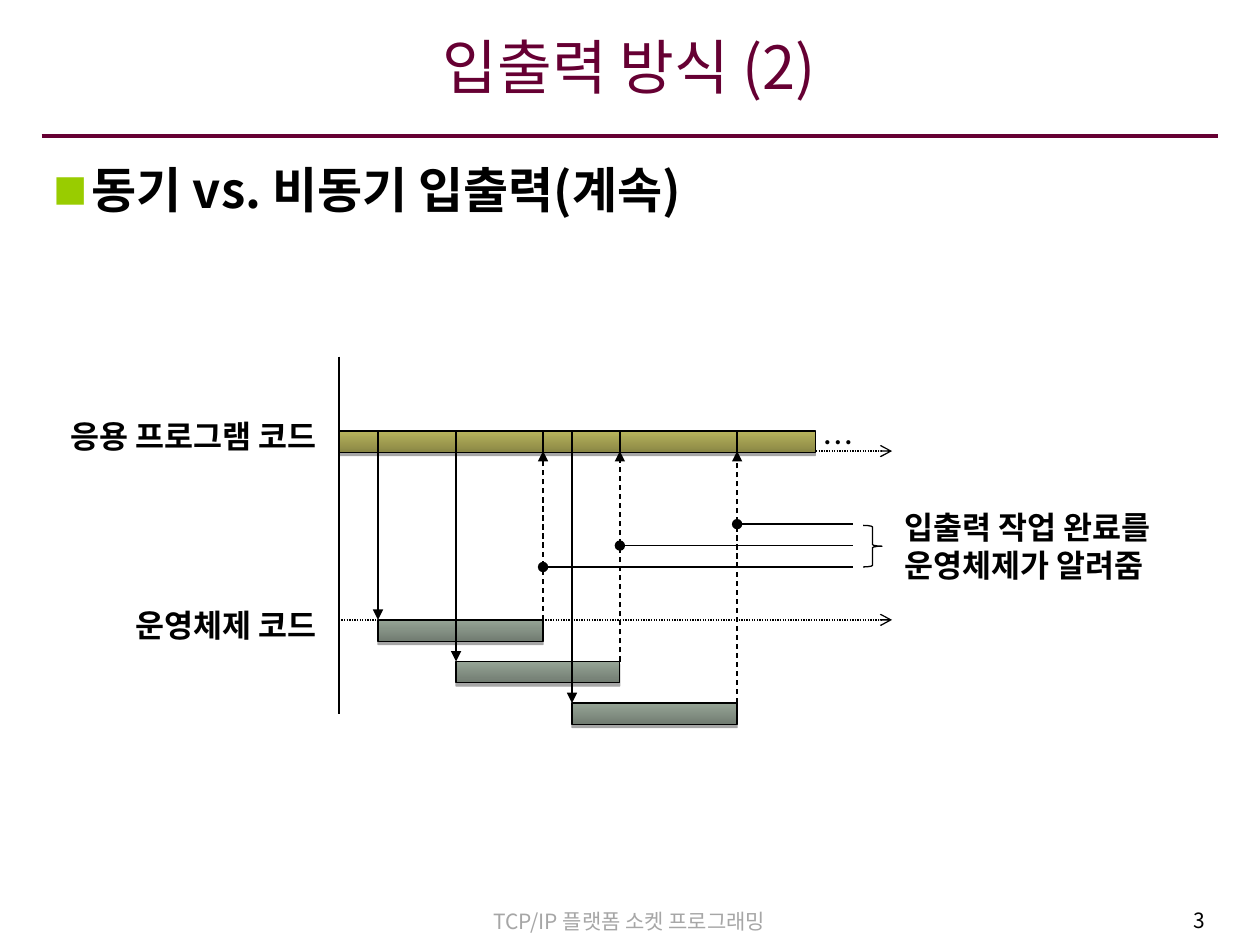
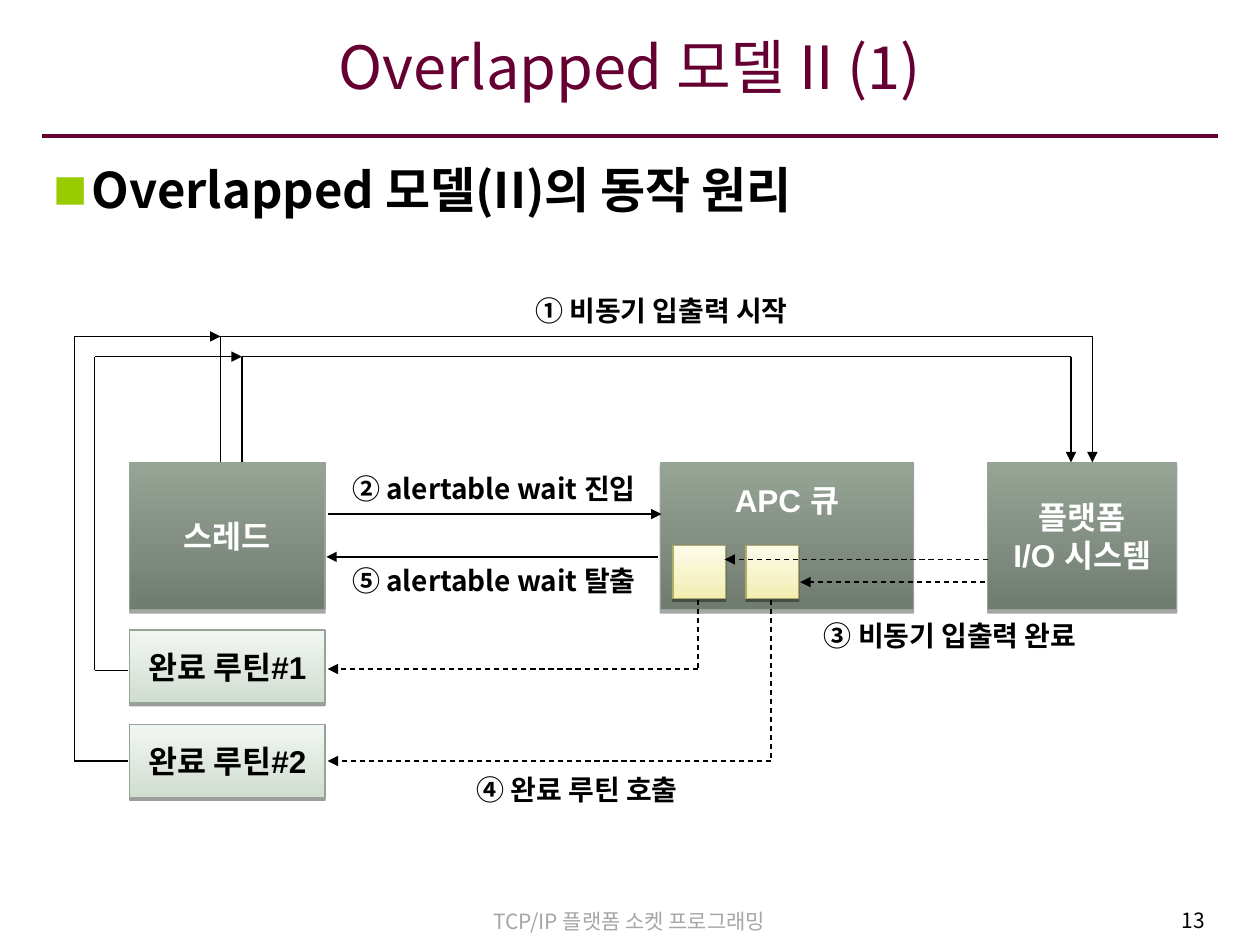
"""Builds two slides on input/output modes and the overlapped model."""
from dataclasses import dataclass
from itertools import pairwise

from lxml import etree
from pptx import Presentation
from pptx.dml.color import RGBColor
from pptx.enum.dml import MSO_LINE
from pptx.enum.shapes import MSO_CONNECTOR, MSO_SHAPE
from pptx.enum.text import MSO_ANCHOR, PP_ALIGN
from pptx.oxml.ns import qn
from pptx.util import Emu, Pt

PX = 9144
LEFT, MID, RIGHT = PP_ALIGN.LEFT, PP_ALIGN.CENTER, PP_ALIGN.RIGHT
TOP, CENTER = MSO_ANCHOR.TOP, MSO_ANCHOR.MIDDLE
DASH, DOT = MSO_LINE.DASH, MSO_LINE.ROUND_DOT
RECT, BRACE = MSO_SHAPE.RECTANGLE, MSO_SHAPE.RIGHT_BRACE
STRAIGHT = MSO_CONNECTOR.STRAIGHT

PLUM, BLACK, WHITE, GREY, LIME = "660033", "000000", "FFFFFF", "A6A6A6", "99CC00"
OLIVE = ("8A8745", "B8B45C")
SAGE = ("717C71", "96A496")
MIST = ("D1DDD1", "F2F6F2")
CREAM = ("F2EEB2", "FCFBEA")
EDGE, RIM = "98A398", "AFAC67"
KOREAN, ARIAL, TIMES = "Noto Sans CJK KR", "Arial", "Times New Roman"


@dataclass(frozen=True)
class Look:
    size: int
    color: str = BLACK
    bold: bool = False
    face: str = KOREAN
    align: int = MID


TITLE = Look(34, PLUM)
HEAD = Look(28, bold=True, align=LEFT)
FOOT = Look(12, GREY)
PAGE = Look(12, align=RIGHT)
NAME = Look(18, bold=True, align=RIGHT)
NOTE = Look(18, bold=True, align=LEFT)
STEP = Look(16, bold=True)
DOTS = Look(10, face=TIMES)
PALE = Look(18, WHITE, True, ARIAL)
DARK = Look(18, BLACK, True, ARIAL)


@dataclass(frozen=True)
class Label:
    spot: tuple[int, int, int, int]
    text: str
    look: Look
    wrap: bool = False
    anchor: int = CENTER


@dataclass(frozen=True)
class Box:
    spot: tuple[int, int, int, int]
    fill: tuple[str, str]
    edge: str = BLACK
    text: str = ""
    look: Look = PALE
    low: int = 5
    shade: tuple[int, float] = (35, 1.8)


@dataclass(frozen=True)
class Wire:
    start: tuple[int, int]
    end: tuple[int, int]
    dash: int | None = None
    head: str = ""
    tail: str = ""
    color: str = BLACK
    width: float = 0.75


def rgb(code: str) -> RGBColor:
    return RGBColor.from_string(code)


def scale(spot) -> list[Emu]:
    return [Emu(n * PX) for n in spot]


def add(parent, tag: str, **attrs):
    return etree.SubElement(parent, qn(tag), {k: str(v) for k, v in attrs.items()})


def style(thing, values: dict) -> None:
    for key, value in values.items():
        setattr(thing, key, value)


def write(frame, text: str, look: Look, wrap=False, anchor=CENTER,
          side=10, low=5) -> None:
    frame.text = text
    style(frame, {"word_wrap": wrap, "vertical_anchor": anchor,
                  "margin_left": Emu(side * PX), "margin_right": Emu(side * PX),
                  "margin_top": Emu(5 * PX), "margin_bottom": Emu(low * PX)})
    for para in frame.paragraphs:
        para.alignment = look.align
        for run in para.runs:
            style(run.font, {"size": Pt(look.size), "bold": look.bold,
                             "name": look.face})
            run.font.color.rgb = rgb(look.color)
            add(run.font._element, "a:ea", typeface=KOREAN)


def put_label(slide, item: Label):
    box = slide.shapes.add_textbox(*scale(item.spot))
    write(box.text_frame, item.text, item.look, item.wrap, item.anchor)
    return box


def put_box(slide, item: Box) -> None:
    shape = slide.shapes.add_shape(RECT, *scale(item.spot))
    shape.fill.gradient()
    shape.fill.gradient_angle = 90
    for stop, code in zip(shape.fill.gradient_stops, item.fill):
        stop.color.rgb = rgb(code)
    shape.line.color.rgb = rgb(item.edge)
    shape.line.width = Pt(0.75)
    shape.shadow.inherit = False
    alpha, drop = item.shade
    effect = shape._element.spPr.find(qn("a:effectLst"))
    outer = add(effect, "a:outerShdw", blurRad=0, dist=Pt(drop), dir=5400000,
                algn="ctr", rotWithShape=0)
    add(add(outer, "a:srgbClr", val=BLACK), "a:alpha", val=alpha * 1000)
    if item.text:
        write(shape.text_frame, item.text, item.look, low=item.low)


def put_wire(slide, item: Wire) -> None:
    link = slide.shapes.add_connector(STRAIGHT, *scale(item.start + item.end))
    link.line.color.rgb = rgb(item.color)
    link.line.width = Pt(item.width)
    if item.dash:
        link.line.dash_style = item.dash
    pen = link.line._get_or_add_ln()
    for tag, kind in (("a:headEnd", item.head), ("a:tailEnd", item.tail)):
        if kind:
            add(pen, tag, type=kind)
    add(link._element.spPr, "a:effectLst")


PUT = {Label: put_label, Box: put_box, Wire: put_wire}


def draw(slide, items) -> None:
    for item in items:
        PUT[type(item)](slide, item)


def start(deck, title: str, head: str, page: int):
    slide = deck.slides.add_slide(deck.slide_layouts[5])
    slide.background.fill.solid()
    slide.background.fill.fore_color.rgb = rgb(WHITE)
    name = slide.shapes.title
    style(name, dict(zip(("left", "top", "width", "height"),
                         scale((33, 15, 933, 85)))))
    write(name.text_frame, title, TITLE, True, side=8, low=16)
    draw(slide, [
        Wire((33, 108), (967, 108), color=PLUM, width=2.25),
        Label((287, 716, 425, 30), "TCP/IP 플랫폼 소켓 프로그래밍", FOOT, True, TOP),
        Label((754, 715, 212, 33), str(page), PAGE, True, TOP),
    ])
    body = put_label(slide, Label((33, 122, 933, 586), head, HEAD, True, TOP))
    para = body.text_frame.paragraphs[0]
    para.space_before = Pt(7)
    prop = para._p.get_or_add_pPr()
    prop.set("marL", str(30 * PX))
    prop.set("indent", str(-30 * PX))
    add(add(prop, "a:buClr"), "a:srgbClr", val=LIME)
    add(prop, "a:buSzPct", val=70000)
    add(prop, "a:buFont", typeface=KOREAN)
    add(prop, "a:buChar", char="■")
    return slide


def modes(deck) -> None:
    slide = start(deck, "입출력 방식 (2)", "동기 vs. 비동기 입출력(계속)", 3)
    app, kernel, axis, thick = 358, 492, 269, 17
    cuts = (axis, 300, 362, 431, 454, 492, 585, 647)
    calls = ((300, 431), (362, 492), (454, 585))
    draw(slide, [Wire((axis, y), (708, y), DOT, tail="arrow") for y in (app, kernel)])
    draw(slide, [Box((a, 342, b - a, thick), OLIVE) for a, b in pairwise(cuts)])
    draw(slide, [Box((a, kernel + 33 * i, b - a, thick), SAGE)
                 for i, (a, b) in enumerate(calls)])
    for i, (a, b) in enumerate(calls):
        base, note = kernel + 33 * i, 450 - 17 * i
        draw(slide, [
            Wire((a, app), (a, base), tail="triangle"),
            Wire((b, base), (b, app), DASH, tail="triangle"),
            Wire((b, note), (677, note), head="oval"),
        ])
    draw(slide, [
        Wire((axis, 283), (axis, 567)),
        Label((635, 337, 60, 27), "• • •", DOTS),
        Label((21, 325, 240, 42), "응용 프로그램 코드", NAME),
        Label((21, 475, 240, 42), "운영체제 코드", NAME),
        Label((708, 400, 240, 67), "입출력 작업 완료를\n운영체제가 알려줌", NOTE),
    ])
    brace = slide.shapes.add_shape(BRACE, *scale((685, 417, 15, 33)))
    brace.fill.background()
    brace.line.color.rgb = rgb(BLACK)
    brace.line.width = Pt(0.75)
    brace.shadow.inherit = False


def model(deck) -> None:
    slide = start(deck, "Overlapped 모델 II (1)", "Overlapped 모델(II)의 동작 원리", 13)
    soft = (38, 1.6)
    draw(slide, [
        Box((103, 367, 155, 117), SAGE, EDGE, "스레드"),
        Box((524, 367, 201, 117), SAGE, EDGE, "APC 큐", low=62),
        Box((784, 367, 150, 117), SAGE, EDGE, "플랫폼\nI/O 시스템"),
    ])
    draw(slide, [Box((x, 433, 42, 42), CREAM, RIM, shade=soft) for x in (534, 592)])
    draw(slide, [Box((103, 500 + 75 * i, 155, 58), MIST, EDGE,
                     f"완료 루틴#{i + 1}", DARK, shade=soft) for i in range(2)])
    loops = ((175, 267, 867, 59, 604), (192, 283, 850, 75, 532))
    for up, top, down, back, low in loops:
        draw(slide, [
            Wire((up, 367), (up, top)),
            Wire((up, top), (down, top)),
            Wire((down, top), (down, 367), tail="triangle"),
            Wire((102, low), (back, low)),
            Wire((back, low), (back, top)),
            Wire((back, top), (up, top), tail="triangle"),
        ])
    for x, low in ((554, 531), (612, 604)):
        draw(slide, [
            Wire((x, 476), (x, low), DASH),
            Wire((x, low), (260, low), DASH, tail="triangle"),
        ])
    draw(slide, [
        Wire((260, 408), (525, 408), tail="triangle"),
        Wire((522, 442), (259, 442), tail="triangle"),
        Wire((784, 444), (575, 444), DASH, tail="triangle"),
        Wire((782, 462), (635, 462), DASH, tail="triangle"),
        Label((400, 225, 250, 42), "① 비동기 입출력 시작", STEP),
        Label((267, 371, 250, 33), "② alertable wait 진입", STEP),
        Label((625, 483, 258, 42), "③ 비동기 입출력 완료", STEP),
        Label((325, 611, 266, 31), "④ 완료 루틴 호출", STEP),
        Label((267, 444, 250, 33), "⑤ alertable wait 탈출", STEP),
    ])


def main() -> None:
    deck = Presentation()
    deck.slide_width, deck.slide_height = scale((1000, 750))
    modes(deck)
    model(deck)
    deck.save("out.pptx")


if __name__ == "__main__":
    main()
